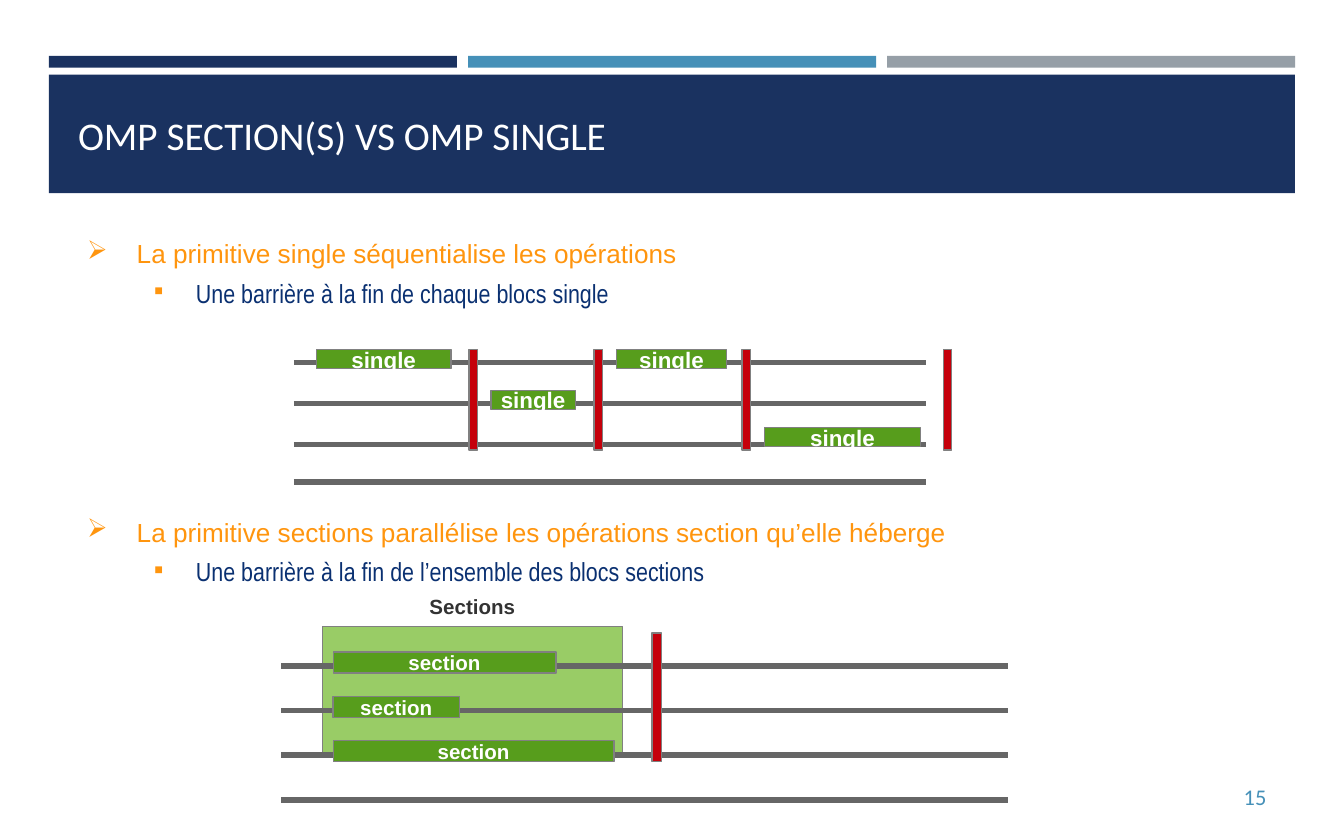
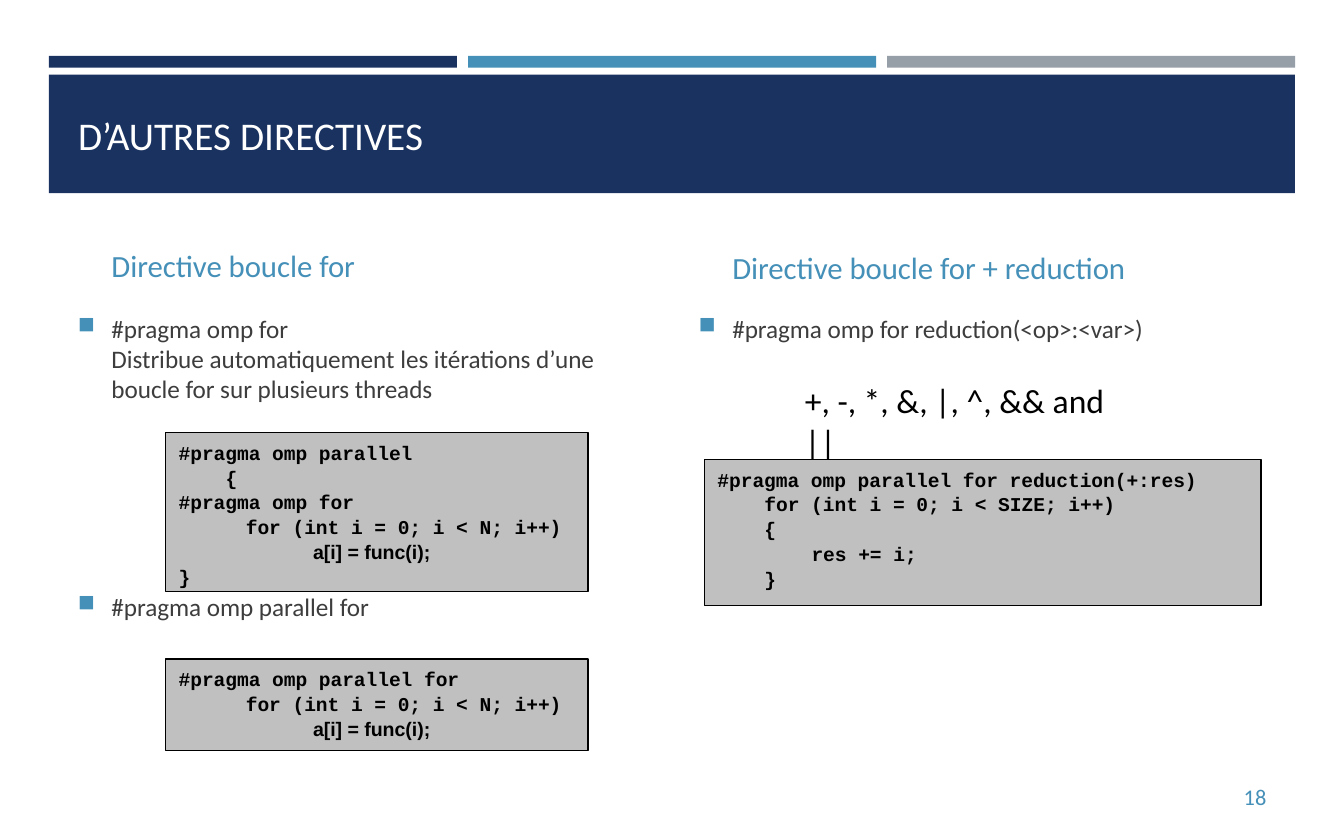
from dataclasses import dataclass
from typing import Optional

from lxml.etree import SubElement as Sub
from pptx import Presentation
from pptx.dml.color import RGBColor as Rgb
from pptx.enum.shapes import MSO_CONNECTOR as Link, MSO_SHAPE as Form
from pptx.enum.text import MSO_ANCHOR as Anchor, MSO_AUTO_SIZE as Fit, PP_ALIGN as Align
from pptx.oxml.ns import qn
from pptx.util import Pt

HEX = {
    "navy": "1A3260", "blue": "4590B8", "grey": "969FA7", "white": "FFFFFF",
    "black": "000000", "text": "3D3D3D", "label": "333333", "gold": "FF950E",
    "deep": "0A3071", "green": "579D1C", "lime": "99CC66", "red": "C5000B",
    "edge": "808080", "line": "666666", "code": "C0C0C0",
}


@dataclass(frozen=True)
class Box:
    x: float
    y: float
    w: float
    h: float

    def place(self) -> tuple:
        return Pt(self.x), Pt(self.y), Pt(self.w), Pt(self.h)


@dataclass(frozen=True)
class Style:
    font: str
    size: float
    tint: str
    bold: bool = False
    align: Align = Align.LEFT
    before: float = 0
    after: float = 0
    space: float = 1
    level: int = 0
    left: float = 0
    hang: float = 0
    mark: str = ""
    scale: int = 100
    dot: str = "gold"


@dataclass(frozen=True)
class Para:
    text: str
    style: Style
    before: Optional[float] = None
    left: Optional[float] = None


TITLE = Style("Calibri", 21, "white")
PAGE = Style("Calibri", 12, "blue", align=Align.RIGHT)
TOPIC = Style("Arial", 14, "gold", before=4.5, left=26.6, hang=26.6, mark="➢")
POINT = Style("Arial Narrow", 14, "deep", before=4.5, level=1, left=58.3, hang=22.3,
              mark="■", scale=45)
HEAD = Style("Calibri", 16.5, "blue", before=3.3, after=4.5)
ITEM = Style("Calibri", 13.5, "text", before=2.7, after=4.5, left=18, hang=18,
             mark="■", scale=92, dot="blue")
CODE = Style("Courier New", 10.5, "black", bold=True, space=1.06)
CALL = Style("Arial", 10.5, "black", bold=True, space=1.06)
SIGNS = Style("Calibri", 18, "black")
SINGLE = Style("Arial", 12, "white", bold=True, align=Align.CENTER)
PART = Style("Arial", 11, "white", bold=True, align=Align.CENTER)
LABEL = Style("Arial", 11, "label", bold=True, align=Align.CENTER)

TAB = 36
CHAR = 6.3


def tint(name: str) -> Rgb:
    return Rgb.from_string(HEX[name])


def write(frame, paras: list, anchor=Anchor.TOP, wrap: bool = True, inset: bool = True) -> None:
    frame.auto_size = Fit.NONE
    frame.word_wrap = wrap
    frame.vertical_anchor = anchor
    frame.margin_left = frame.margin_right = Pt(7.2 if inset else 0)
    frame.margin_top = frame.margin_bottom = Pt(3.6 if inset else 0)
    for i, item in enumerate(paras):
        style = item.style
        para = frame.add_paragraph() if i else frame.paragraphs[0]
        para.alignment = style.align
        para.level = style.level
        para.line_spacing = style.space
        para.space_before = Pt(style.before if item.before is None else item.before)
        para.space_after = Pt(style.after)
        for j, line in enumerate(item.text.split("\n")):
            if j:
                para.add_line_break()
            run = para.add_run()
            run.text = line
            run.font.name = style.font
            run.font.size = Pt(style.size)
            run.font.bold = style.bold
            run.font.color.rgb = tint(style.tint)
        props = para._p.get_or_add_pPr()
        props.set("marL", str(Pt(style.left if item.left is None else item.left)))
        props.set("indent", str(-Pt(style.hang)))
        if style.mark:
            Sub(Sub(props, qn("a:buClr")), qn("a:srgbClr"), val=HEX[style.dot])
            Sub(props, qn("a:buSzPct"), val=str(style.scale * 1000))
            Sub(props, qn("a:buChar"), char=style.mark)
        else:
            Sub(props, qn("a:buNone"))


def note(slide, box: Box, paras: list, anchor=Anchor.TOP, inset: bool = True) -> None:
    frame = slide.shapes.add_textbox(*box.place()).text_frame
    write(frame, paras, anchor, inset=inset)


def block(slide, box: Box, fill: str, edge: str = ""):
    shape = slide.shapes.add_shape(Form.RECTANGLE, *box.place())
    shape.shadow.inherit = False
    shape.fill.solid()
    shape.fill.fore_color.rgb = tint(fill)
    if edge:
        shape.line.color.rgb = tint(edge)
        shape.line.width = Pt(0.75)
    else:
        shape.line.fill.background()
    return shape


def task(slide, box: Box, text: str, style: Style) -> None:
    shape = block(slide, box, "green", "edge")
    write(shape.text_frame, [Para(text, style)], Anchor.MIDDLE, wrap=False)


def thread(slide, left: float, right: float, y: float) -> None:
    line = slide.shapes.add_connector(Link.STRAIGHT, Pt(left), Pt(y), Pt(right), Pt(y))
    line.line.color.rgb = tint("line")
    line.line.width = Pt(3)
    Sub(line._element.spPr, qn("a:effectLst"))


def listing(slide, box: Box, lines: list) -> None:
    shape = block(slide, box, "code", "black")
    write(shape.text_frame, lines)


def bands(slide, layout) -> None:
    for shape in list(layout.placeholders):
        if shape.placeholder_format.idx >= 10:
            shape._element.getparent().remove(shape._element)
    parts = [block(slide, Box(26.25 + 224.5 * i, 30, 218.6, 6.3), name)
             for i, name in enumerate(("navy", "blue", "grey"))]
    parts.append(block(slide, Box(26.25, 40, 667.5, 63.5), "navy"))
    for i, part in enumerate(parts):
        layout.shapes._spTree.insert(2 + i, part._element)


def start(deck, title: str, page: str):
    slide = deck.slides.add_slide(deck.slide_layouts[5])
    head = slide.shapes.title
    head.left, head.top, head.width, head.height = Box(34.6, 23.4, 651.6, 65).place()
    write(head.text_frame, [Para(title, TITLE)], Anchor.BOTTOM)
    note(slide, Box(623.5, 414.5, 62, 24), [Para(page, PAGE)], Anchor.MIDDLE)
    return slide


def compare(slide) -> None:
    note(slide, Box(39.6, 123.8, 640, 252.7), [
        Para("La primitive single séquentialise les opérations", TOPIC),
        Para("Une barrière à la fin de chaque blocs single", POINT),
        Para("La primitive sections parallélise les opérations section qu’elle héberge",
             TOPIC, before=111),
        Para("Une barrière à la fin de l’ensemble des blocs sections", POINT),
    ])

    block(slide, Box(172.8, 335.5, 160.6, 70.3), "lime", "edge")
    note(slide, Box(172.8, 318.3, 160.6, 13), [Para("Sections", LABEL)], Anchor.MIDDLE, False)
    for i in range(4):
        thread(slide, 150.75, 540, 356.8 + 23.9 * i)
    for i, width in enumerate((119.3, 67.7, 150.5)):
        task(slide, Box(178.5, 349.2 + 23.8 * i, width, 11.3), "section", PART)
    block(slide, Box(349.4, 339.2, 5, 68.8), "red", "edge")

    for y in (194.2, 216.2, 238.2, 258.2):
        thread(slide, 157.5, 496, y)
    for x, y, width in ((169.4, 187.2, 72.3), (263, 209.1, 45.2),
                        (330.3, 187.2, 58.9), (409.6, 229, 83.5)):
        task(slide, Box(x, y, width, 10.3), "single", SINGLE)
    for x in (251.2, 318.3, 397.5, 505.4):
        block(slide, Box(x, 187.2, 4.5, 54), "red", "edge")


def direct(slide) -> None:
    note(slide, Box(52.6, 120.2, 300, 35.3), [Para("Directive boucle for", HEAD)], Anchor.BOTTOM)
    note(slide, Box(385.2, 120.2, 300, 36.3),
         [Para("Directive boucle for + reduction", HEAD)], Anchor.BOTTOM)
    note(slide, Box(34.6, 164.2, 318.2, 248.4), [
        Para("#pragma omp for\nDistribue automatiquement les itérations d’une "
             "boucle for sur plusieurs threads", ITEM),
        Para("#pragma omp parallel for", ITEM, before=96),
    ])
    note(slide, Box(367.2, 164.2, 318.2, 248.4),
         [Para("#pragma omp for reduction(<op>:<var>)", ITEM)])

    loop = [Para("for (int i = 0; i < N; i++)", CODE, left=TAB),
            Para("a[i] = func(i);", CALL, left=2 * TAB)]
    listing(slide, Box(88.6, 231.8, 226.4, 85), [
        Para("#pragma omp parallel", CODE),
        Para("{", CODE, left=4 * CHAR),
        Para("#pragma omp for", CODE),
        *loop,
        Para("}", CODE),
    ])
    listing(slide, Box(88.6, 353, 226.4, 49), [Para("#pragma omp parallel for", CODE), *loop])
    listing(slide, Box(377.3, 246.2, 298.2, 78.4), [
        Para("#pragma omp parallel for reduction(+:res)", CODE),
        Para("for (int i = 0; i < SIZE; i++)", CODE, left=4 * CHAR),
        Para("{", CODE, left=4 * CHAR),
        Para("res += i;", CODE, left=8 * CHAR),
        Para("}", CODE, left=4 * CHAR),
    ])
    note(slide, Box(424.1, 200.2, 175, 29), [Para("+, -, *, &, |, ^, && and ||", SIGNS)])


def main() -> None:
    deck = Presentation()
    deck.slide_width, deck.slide_height = Pt(720), Pt(450)
    first = start(deck, "OMP SECTION(S) VS OMP SINGLE", "15")
    bands(first, deck.slide_layouts[5])
    compare(first)
    direct(start(deck, "D’AUTRES DIRECTIVES", "18"))
    deck.save("out.pptx")


if __name__ == "__main__":
    main()
